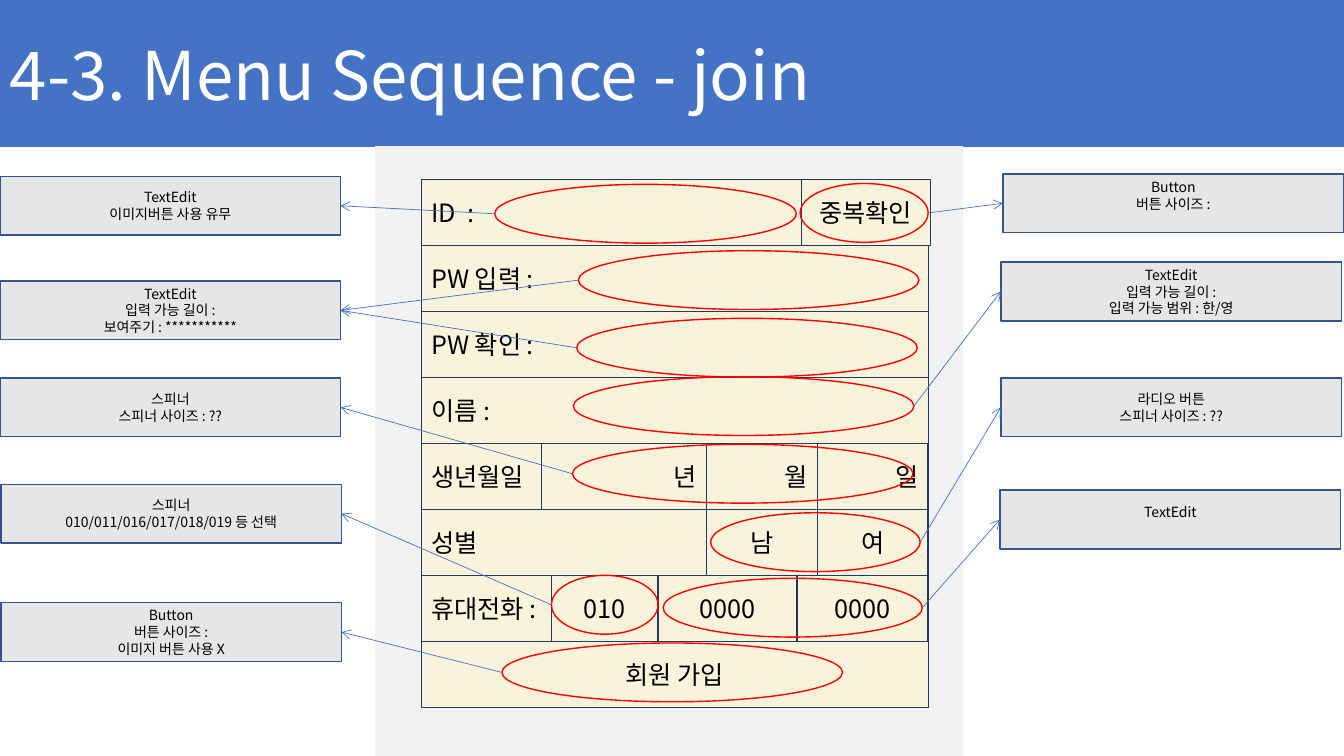
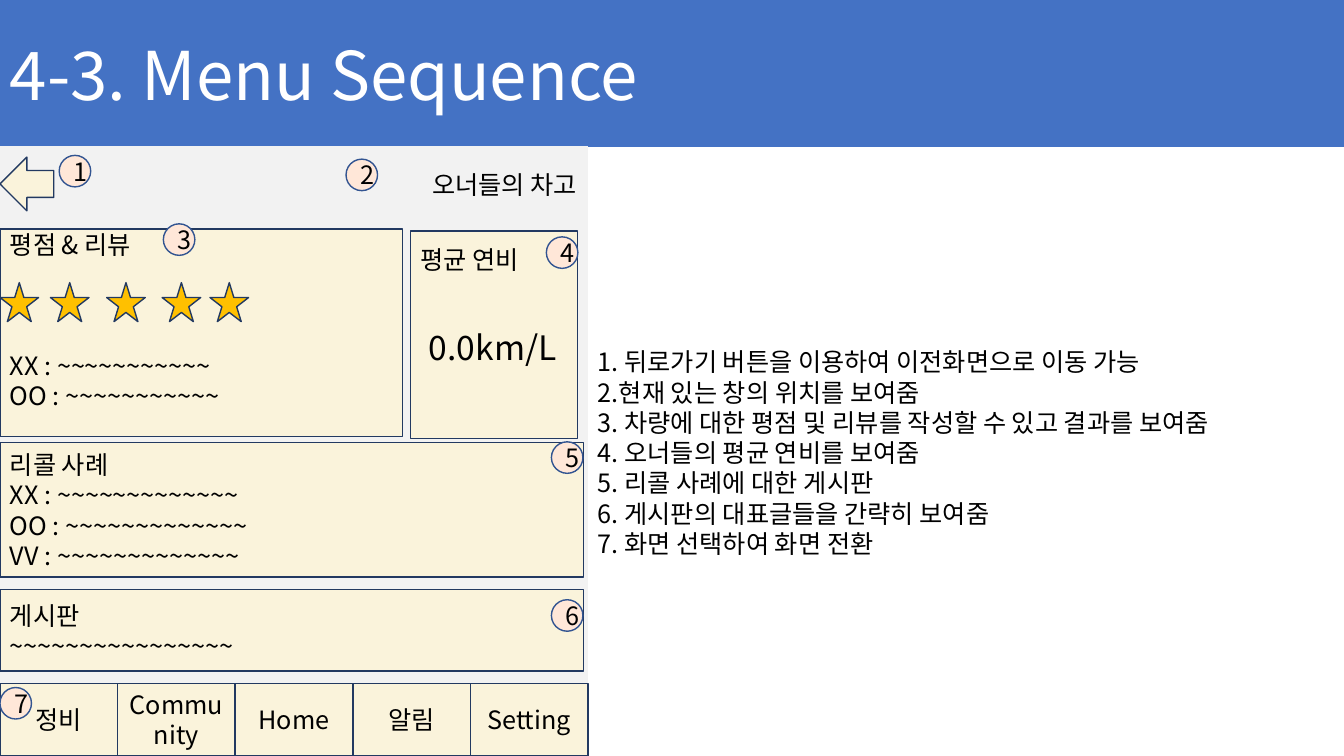
from dataclasses import dataclass

from lxml.etree import SubElement
from pptx import Presentation
from pptx.dml.color import RGBColor
from pptx.enum.shapes import MSO_CONNECTOR, MSO_SHAPE
from pptx.enum.text import MSO_ANCHOR, PP_ALIGN
from pptx.oxml.ns import qn
from pptx.util import Inches, Pt

# Grid: 160 columns by 90 rows over the whole slide
SLIDE_WIDTH, SLIDE_HEIGHT = Inches(13.33), Inches(7.5)
COLUMN, ROW = SLIDE_WIDTH / 160, SLIDE_HEIGHT / 90

FONT = "Noto Sans CJK KR"
BLUE, WHITE, BLACK, RED = "4472C4", "FFFFFF", "000000", "FF0000"
PANEL_GREY, CREAM, NAVY = "F2F2F2", "FAF3DB", "223961"
CALLOUT_GREY, CALLOUT_EDGE = "E7E6E6", "325491"
BADGE_FILL, STAR_FILL = "FFE7D8", "FFC000"

LEFT, CENTER, RIGHT = PP_ALIGN.LEFT, PP_ALIGN.CENTER, PP_ALIGN.RIGHT
SECTION_GAP = 65  # points between a card's heading and its entries


@dataclass
class Box:
    """A region in grid columns and rows."""
    left: float
    top: float
    width: float
    height: float

    def inside(self, left, top, width, height):
        return Box(self.left + left, self.top + top, width, height)

    def emu(self):
        return (round(self.left * COLUMN), round(self.top * ROW),
                round(self.width * COLUMN), round(self.height * ROW))


BAND = Box(0, 0, 160, 17.5)


# Shared drawing helpers
def paint(fill, color):
    fill.solid()
    fill.fore_color.rgb = RGBColor.from_string(color)


def draw(slide, kind, box, fill=None, line=None):
    shape = slide.shapes.add_shape(kind, *box.emu())
    shape.shadow.inherit = False
    if fill:
        paint(shape.fill, fill)
    else:
        shape.fill.background()
    if line:
        paint(shape.line.fill, line)
        shape.line.width = Pt(1)
    else:
        shape.line.fill.background()
    return shape


def write(shape, lines, size=18, align=LEFT, color=BLACK, top_inset=None, gap=0):
    """Fill a shape with lines; a top inset anchors them to the top,
    and gap is the space after the first line."""
    frame = shape.text_frame
    frame.word_wrap = True
    frame.vertical_anchor = MSO_ANCHOR.MIDDLE
    if top_inset is not None:
        frame.vertical_anchor = MSO_ANCHOR.TOP
        frame.margin_top = round(top_inset * ROW)
    for index, line in enumerate(lines):
        paragraph = frame.paragraphs[0] if index == 0 else frame.add_paragraph()
        paragraph.alignment = align
        if index == 1 and gap:
            paragraph.space_before = Pt(gap)
        run = paragraph.add_run()
        run.text = line
        run.font.size = Pt(size)
        run.font.name = FONT
        paint(run.font.fill, color)
        east_asian = SubElement(run.font._element, qn("a:ea"))
        east_asian.set("typeface", FONT)


def add_text(slide, box, lines, **style):
    write(slide.shapes.add_textbox(*box.emu()), lines, **style)


def add_card(slide, box, lines, **style):
    write(draw(slide, MSO_SHAPE.RECTANGLE, box, CREAM, NAVY), lines, **style)


def add_title_slide(presentation, title, panel):
    """Blank slide with the title band and the grey screen panel."""
    slide = presentation.slides.add_slide(presentation.slide_layouts[6])
    band = draw(slide, MSO_SHAPE.RECTANGLE, BAND, BLUE)
    write(band, [title], size=48, color=WHITE)
    draw(slide, MSO_SHAPE.RECTANGLE, panel, PANEL_GREY)
    return slide


# Join form: full-width rows, then cells as (row, left, width, text, align)
FORM_ROWS = ["ID  :", "PW 입력 :", "PW 확인 :", "이름 :", "생년월일", "성별",
             "휴대전화 :", "회원 가입"]
FORM_CELLS = [
    (0, 45.25, 15.35, "중복확인", CENTER),
    (4, 14.3, 19.65, "년", RIGHT),
    (4, 33.95, 13.2, "월", RIGHT),
    (4, 47.15, 13.2, "일", RIGHT),
    (5, 33.95, 13.2, "남", CENTER),
    (5, 47.15, 13.2, "여", CENTER),
    (6, 15.5, 12.7, "010", CENTER),
    (6, 28.2, 16.55, "0000", CENTER),
    (6, 44.75, 15.6, "0000", CENTER),
]

# Red marks on the form: left, top, width
MARKS = {
    "id": (8.75, 0.6, 35.9),
    "check": (45.1, 0.5, 15.25),
    "password": (18.7, 8.5, 40.55),
    "confirm": (18.5, 16.55, 40.55),
    "name": (18.1, 23.5, 40.55),
    "birth": (18, 31.55, 40.55),
    "gender": (34.45, 39.7, 24.95),
    "prefix": (15.5, 47.15, 12.7),
    "phone": (28.8, 47.5, 30.85),
    "join": (9.6, 55.2, 40.55),
}
MARK_HEIGHT = 7

# Callouts: left, top, lines, marks explained, top inset
LEFT_CALLOUTS = [
    (0, 0, ["TextEdit", "이미지버튼 사용 유무"], ["id"], None),
    (0, 12.45, ["TextEdit", "입력 가능 길이 :", "보여주기 : ***********"],
     ["password", "confirm"], None),
    (0, 24, ["스피너", "스피너 사이즈 : ??"], ["birth"], None),
    (0.1, 36.65, ["스피너", "010/011/016/017/018/019 등 선택"], ["prefix"], None),
    (0.1, 50.75, ["Button", "버튼 사이즈 :", "이미지 버튼 사용 X"], ["join"], None),
]
RIGHT_CALLOUTS = [
    (0.35, -0.3, ["Button", "버튼 사이즈 :"], ["check"], 0.6),
    (0.1, 10.2, ["TextEdit", "입력 가능 길이 :", "입력 가능 범위 : 한/영"], ["name"], None),
    (0.1, 24, ["라디오 버튼", "스피너 사이즈 : ??"], ["gender"], None),
    (0, 37.35, ["TextEdit"], ["phone"], 1.6),
]


def add_form(slide, form):
    """Draw the form and return the box of each red mark."""
    row_height = form.height / len(FORM_ROWS)
    for index, label in enumerate(FORM_ROWS):
        is_button = index == len(FORM_ROWS) - 1
        add_card(slide, form.inside(0, index * row_height, form.width, row_height),
                 [label], align=CENTER if is_button else LEFT)
    for row, left, width, label, align in FORM_CELLS:
        add_card(slide, form.inside(left, row * row_height, width, row_height),
                 [label], align=align)
    mark_boxes = {}
    for name, (left, top, width) in MARKS.items():
        mark_boxes[name] = form.inside(left, top, width, MARK_HEIGHT)
        draw(slide, MSO_SHAPE.OVAL, mark_boxes[name], line=RED)
    return mark_boxes


def add_arrow(slide, mark, callout, from_right):
    """Arrow from the side of a mark to the facing side of a callout."""
    start_x = round((mark.left + (mark.width if from_right else 0)) * COLUMN)
    start_y = round((mark.top + mark.height / 2) * ROW)
    arrow = slide.shapes.add_connector(
        MSO_CONNECTOR.STRAIGHT, start_x, start_y, start_x, start_y)
    arrow.end_connect(callout, 1 if from_right else 3)
    paint(arrow.line.fill, BLUE)
    arrow.line.width = Pt(0.5)
    SubElement(arrow.line._get_or_add_ln(), qn("a:tailEnd")).set("type", "arrow")
    SubElement(arrow._element.spPr, qn("a:effectLst"))


def add_callouts(slide, area, callouts, mark_boxes, on_right):
    for left, top, lines, names, top_inset in callouts:
        box = area.inside(left, top, area.width, 7)
        callout = draw(slide, MSO_SHAPE.RECTANGLE, box, CALLOUT_GREY, CALLOUT_EDGE)
        write(callout, lines, size=10, align=CENTER, top_inset=top_inset)
        for name in names:
            add_arrow(slide, mark_boxes[name], callout, on_right)


def build_join_slide(presentation):
    panel = Box(44.65, 17.4, 70, 72.6)
    slide = add_title_slide(presentation, "4-3. Menu Sequence - join", panel)
    mark_boxes = add_form(slide, panel.inside(5.5, 3.95, 60.4, 62.9))
    add_callouts(slide, Box(0, 21, 40.55, 69), LEFT_CALLOUTS, mark_boxes, False)
    add_callouts(slide, Box(119.05, 21, 40.55, 69), RIGHT_CALLOUTS, mark_boxes, True)


# Garage screen
TABS = ["정비", "Community", "Home", "알림", "Setting"]
STAR_LEFTS = [0, 6, 12.7, 19.3, 25]
BADGE_PLACES = [(7.05, 1.1), (41.2, 1.55), (19.45, 9.25), (65.05, 10.8),
                (65.65, 35.2), (65.65, 54), (0, 64.45)]
NOTES = [
    "1. 뒤로가기 버튼을 이용하여 이전화면으로 이동 가능",
    "2.현재 있는 창의 위치를 보여줌",
    "3. 차량에 대한 평점 및 리뷰를 작성할 수 있고 결과를 보여줌",
    "4. 오너들의 평균 연비를 보여줌",
    "5. 리콜 사례에 대한 게시판",
    "6. 게시판의 대표글들을 간략히 보여줌",
    "7. 화면 선택하여 화면 전환",
]


def add_screen(slide, screen):
    # Header with back arrow
    draw(slide, MSO_SHAPE.LEFT_ARROW, screen.inside(0, 1.3, 6.4, 6.4), CREAM, NAVY)
    add_text(slide, screen.inside(16.55, 0.2, 53.3, 8.65), ["오너들의 차고"], align=RIGHT)

    # Rating card with stars
    add_card(slide, screen.inside(0, 9.85, 47.9, 24.7),
             ["평점 & 리뷰", "XX : ~~~~~~~~~~~", "OO : ~~~~~~~~~~~"],
             top_inset=0, gap=SECTION_GAP)
    for left in STAR_LEFTS:
        draw(slide, MSO_SHAPE.STAR_5_POINT, screen.inside(left, 16.25, 4.6, 4.65),
             STAR_FILL, NAVY)

    # Fuel economy card
    add_card(slide, screen.inside(48.85, 10.1, 19.9, 24.7), ["평균 연비"], top_inset=1.6)
    add_text(slide, screen.inside(49.8, 16.9, 17.75, 14.05), ["0.0km/L"],
             size=24, align=CENTER)

    # Recall and board cards
    add_card(slide, screen.inside(0, 35.3, 69.5, 16),
             ["리콜 사례", "XX : ~~~~~~~~~~~~~", "OO : ~~~~~~~~~~~~~",
              "VV : ~~~~~~~~~~~~~"])
    add_card(slide, screen.inside(0, 52.8, 69.5, 9.7), ["게시판", "~~~~~~~~~~~~~~~~"])

    # Bottom tabs
    tab_width = screen.width / len(TABS)
    for index, label in enumerate(TABS):
        add_card(slide, screen.inside(index * tab_width, 63.95, tab_width, 8.65),
                 [label], align=CENTER)

    # Numbered badges
    for number, (left, top) in enumerate(BADGE_PLACES, start=1):
        badge = draw(slide, MSO_SHAPE.OVAL, screen.inside(left, top, 3.75, 3.75),
                     BADGE_FILL, CALLOUT_EDGE)
        write(badge, [str(number)], align=CENTER)


def build_garage_slide(presentation):
    screen = Box(0, 17.4, 70, 72.6)
    slide = add_title_slide(presentation, "4-3. Menu Sequence", screen)
    add_screen(slide, screen)
    add_text(slide, Box(70, 17.75, 90, 72.25), NOTES)


def main():
    presentation = Presentation()
    presentation.slide_width, presentation.slide_height = SLIDE_WIDTH, SLIDE_HEIGHT
    build_join_slide(presentation)
    build_garage_slide(presentation)
    presentation.save("out.pptx")


if __name__ == "__main__":
    main()
